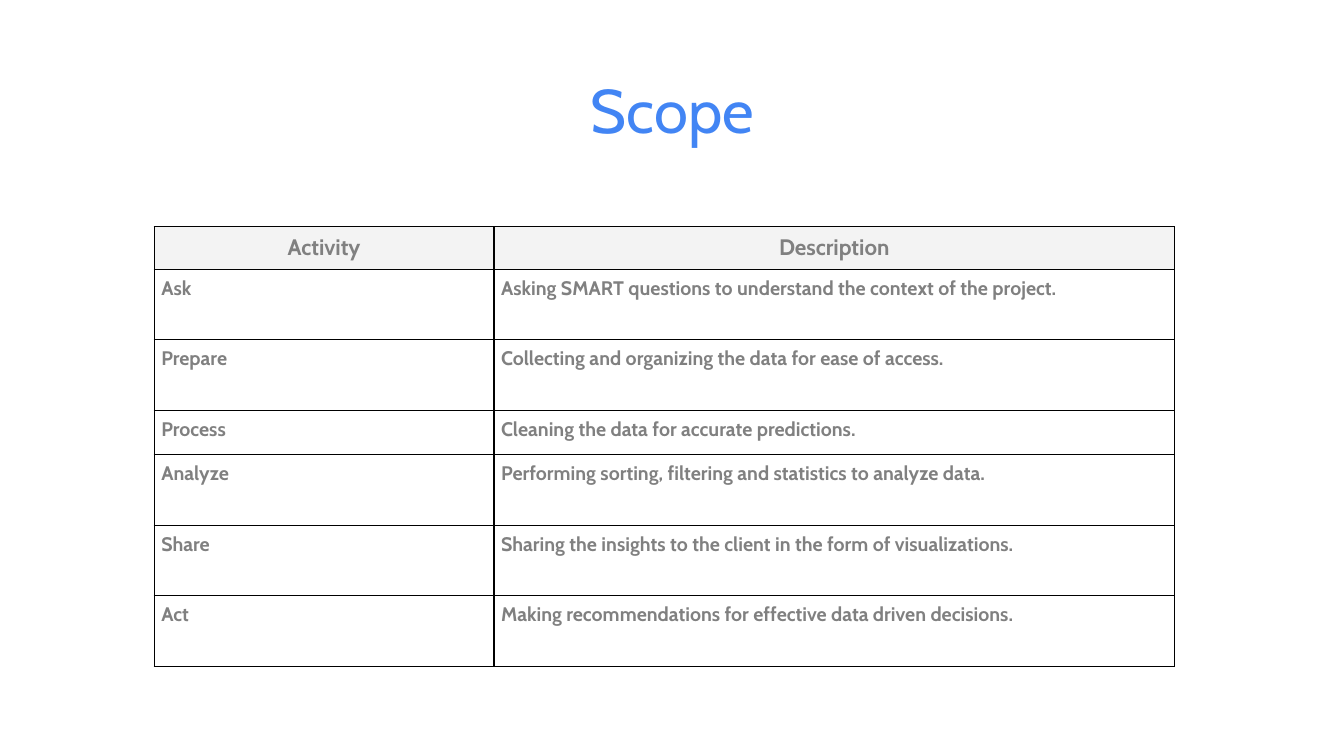
from lxml.etree import SubElement
from pptx import Presentation
from pptx.dml.color import RGBColor
from pptx.enum.text import MSO_ANCHOR, PP_ALIGN
from pptx.oxml.ns import qn
from pptx.util import Inches, Pt


def style_text(para, size, color, bold=False):
    for span in para.runs:
        span.font.name = "Cabin"
        span.font.size = Pt(size)
        span.font.bold = bold
        span.font.color.rgb = RGBColor.from_string(color)


def add_borders(cell, color, width):
    properties = cell._tc.get_or_add_tcPr()
    for index, side in enumerate(("a:lnL", "a:lnR", "a:lnT", "a:lnB")):
        line = properties.makeelement(qn(side), {"w": str(Pt(width))})
        fill = SubElement(line, qn("a:solidFill"))
        SubElement(fill, qn("a:srgbClr"), val=color)
        properties.insert(index, line)


activities = [
    ("Activity", "Description", 0.42),
    ("Ask", "Asking SMART questions to understand the context of the project.", 0.7),
    ("Prepare", "Collecting and organizing the data for ease of access.", 0.7),
    ("Process", "Cleaning the data for accurate predictions.", 0.44),
    ("Analyze", "Performing sorting, filtering and statistics to analyze data.", 0.7),
    ("Share", "Sharing the insights to the client in the form of visualizations.", 0.7),
    ("Act", "Making recommendations for effective data driven decisions.", 0.7),
]

deck = Presentation()
deck.slide_width = Inches(13.33)
deck.slide_height = Inches(7.5)
page = deck.slides.add_slide(deck.slide_layouts[5])

title = page.shapes.title
title.left, title.top = Inches(0.92), Inches(0.4)
title.width, title.height = Inches(11.5), Inches(1.45)
title.text_frame.text = "Scope"
title.text_frame.vertical_anchor = MSO_ANCHOR.MIDDLE
heading = title.text_frame.paragraphs[0]
heading.alignment = PP_ALIGN.CENTER
heading.line_spacing = 0.9
style_text(heading, 44, "4285F4")

table = page.shapes.add_table(
    len(activities), 2, Inches(1.53), Inches(2.25), Inches(10.12), Inches(4.36)
).table
table.columns[0].width = Inches(3.37)
table.columns[1].width = Inches(6.75)

for row, (activity, description, height) in enumerate(activities):
    table.rows[row].height = Inches(height)
    is_header = row == 0
    for column, text in enumerate((activity, description)):
        cell = table.cell(row, column)
        cell.margin_left = cell.margin_right = Inches(0.07)
        cell.margin_top = cell.margin_bottom = Inches(0.07)
        cell.text_frame.text = text
        para = cell.text_frame.paragraphs[0]
        para.alignment = PP_ALIGN.CENTER if is_header else PP_ALIGN.LEFT
        style_text(para, 16 if is_header else 14, "808080", bold=True)
        if is_header:
            cell.fill.solid()
            cell.fill.fore_color.rgb = RGBColor.from_string("F3F3F3")
        else:
            cell.fill.background()
        add_borders(cell, "000000", 1)

deck.save("out.pptx")
